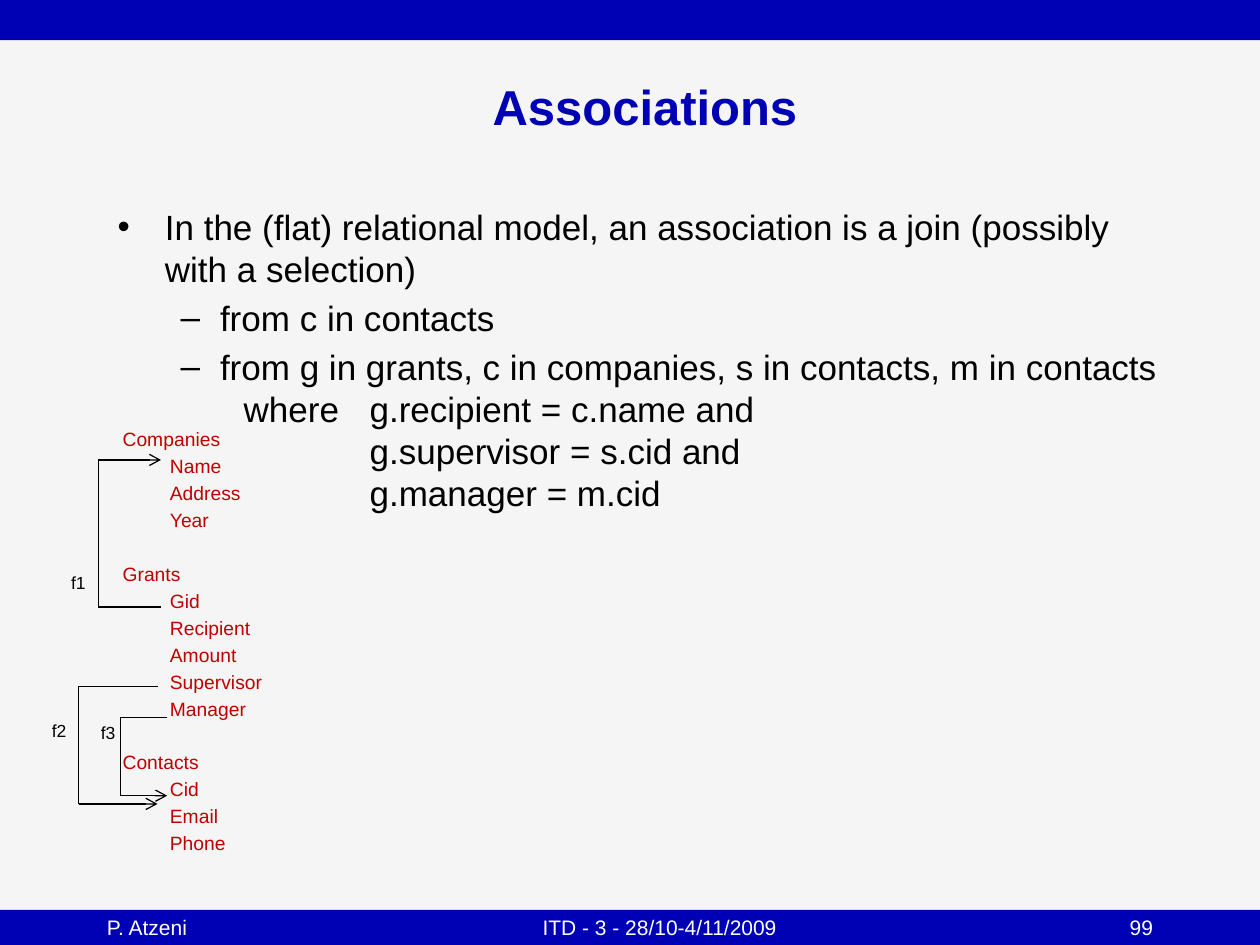
"""Build the slide on associations in the flat relational model."""
from dataclasses import dataclass

import lxml.etree
import pptx
import pptx.dml.color
import pptx.enum.shapes
import pptx.enum.text
import pptx.oxml.ns
import pptx.util

Pt = pptx.util.Pt
qn = pptx.oxml.ns.qn
Align = pptx.enum.text.PP_ALIGN
Anchor = pptx.enum.text.MSO_ANCHOR


@dataclass(frozen=True)
class Theme:
    """Colours and type sizes of the slide."""
    font: str = "Arial"
    background: str = "F5F5F5"
    blue: str = "0000B4"
    red: str = "C00000"
    black: str = "000000"
    white: str = "FFFFFF"
    title: float = 28
    body: float = 20
    footer: float = 12
    schema: float = 11
    label: float = 10


@dataclass(frozen=True)
class Box:
    """A rectangle in points."""
    left: float
    top: float
    width: float
    height: float


@dataclass(frozen=True)
class Footer:
    """A footer text with its place and alignment."""
    text: str
    box: Box
    align: Align


@dataclass(frozen=True)
class Bullet:
    """A list entry with its level and indents."""
    text: str
    level: int
    margin: float
    hanging: float


@dataclass(frozen=True)
class Relation:
    """A relation with its fields."""
    name: str
    fields: tuple[str, ...]


@dataclass(frozen=True)
class Reference:
    """A foreign key path from a field to the key it refers to."""
    name: str
    spine: float
    right: float
    source: float
    target: float
    label: Box


THEME = Theme()
BAND_TOP, BAND_HEIGHT = 520, 20
FOOTERS = (
    Footer("P. Atzeni", Box(54, BAND_TOP, 181.5, BAND_HEIGHT), Align.LEFT),
    Footer("ITD - 3 - 28/10-4/11/2009", Box(139, BAND_TOP, 476, BAND_HEIGHT), Align.CENTER),
    Footer("99", Box(569.5, BAND_TOP, 96.5, BAND_HEIGHT), Align.RIGHT),
)
BULLETS = (
    Bullet("In the (flat) relational model, an association is a join "
           "(possibly with a selection)", 0, 27, 27),
    Bullet("from c in contacts", 1, 58.5, 22.5),
    Bullet("from g in grants, c in companies, s in contacts, m in contacts\n"
           "\twhere \tg.recipient = c.name and\n"
           "\t\tg.supervisor = s.cid and\n"
           "\t\tg.manager = m.cid", 1, 58.5, 22.5),
)
RELATIONS = (
    Relation("Companies", ("Name", "Address", "Year")),
    Relation("Grants", ("Gid", "Recipient", "Amount", "Supervisor", "Manager")),
    Relation("Contacts", ("Cid", "Email", "Phone")),
)
REFERENCES = (
    Reference("f1", 56.2, 92, 346.8, 262.8, Box(33.5, 323.5, 23, 18.5)),
    Reference("f2", 45, 90, 392.2, 459.4, Box(22.5, 408, 23, 18.5)),
    Reference("f3", 69, 95.5, 410, 454.7, Box(50.5, 409, 23, 18.5)),
)


def rgb(value: str) -> pptx.dml.color.RGBColor:
    """Return the colour for a hexadecimal value."""
    return pptx.dml.color.RGBColor.from_string(value)


def place(shape, box: Box) -> None:
    """Move and size a shape."""
    shape.left, shape.top = Pt(box.left), Pt(box.top)
    shape.width, shape.height = Pt(box.width), Pt(box.height)


def write(para, text: str, *, size: float, color: str, bold: bool = False,
          align: Align = Align.LEFT, before: float = 0) -> None:
    """Fill a paragraph with formatted text."""
    para.text = text
    para.alignment = align
    para.space_before = Pt(before)
    for span in para.runs:
        span.font.name, span.font.size = THEME.font, Pt(size)
        span.font.bold = bold
        span.font.color.rgb = rgb(color)
    for line_break in para._p.findall(qn("a:br")):
        lxml.etree.SubElement(line_break, qn("a:rPr"), sz=str(int(size * 100)))


def add_band(page, box: Box) -> None:
    """Draw a plain blue band."""
    band = page.shapes.add_shape(pptx.enum.shapes.MSO_SHAPE.RECTANGLE, 0, 0, 0, 0)
    place(band, box)
    band.shadow.inherit = False
    band.fill.solid()
    band.fill.fore_color.rgb = rgb(THEME.blue)
    band.line.fill.background()


def add_frame(page, box: Box, *, wrap: bool = True, anchor: Anchor = Anchor.TOP):
    """Add a text box and return its text frame."""
    shape = page.shapes.add_textbox(0, 0, 0, 0)
    place(shape, box)
    shape.text_frame.word_wrap = wrap
    shape.text_frame.vertical_anchor = anchor
    return shape.text_frame


def add_bullets(frame, bullets: tuple[Bullet, ...]) -> None:
    """Write the list with hanging indents and one-inch tabs."""
    frame.auto_size = pptx.enum.text.MSO_AUTO_SIZE.NONE
    for index, bullet in enumerate(bullets):
        para = frame.add_paragraph() if index else frame.paragraphs[0]
        write(para, bullet.text, size=THEME.body, color=THEME.black, before=4)
        para.level = bullet.level
        properties = para._p.get_or_add_pPr()
        properties.set("marL", str(Pt(bullet.margin)))
        properties.set("indent", str(-Pt(bullet.hanging)))
        properties.set("defTabSz", str(Pt(72)))


def add_schema(frame, relations: tuple[Relation, ...]) -> None:
    """List the relations, each with its fields indented below."""
    gap = THEME.schema * 0.2
    for index, relation in enumerate(relations):
        para = frame.add_paragraph() if index else frame.paragraphs[0]
        write(para, relation.name, size=THEME.schema, color=THEME.red,
              before=gap + THEME.schema * 1.4 if index else gap)
        for field in relation.fields:
            para = frame.add_paragraph()
            write(para, field, size=THEME.schema, color=THEME.red, before=gap)
            para._p.get_or_add_pPr().set("marL", str(Pt(27)))


def add_line(page, start: tuple[float, float], end: tuple[float, float],
             arrow: bool = False) -> None:
    """Draw a thin line, with an open arrowhead at its end if asked."""
    line = page.shapes.add_connector(pptx.enum.shapes.MSO_CONNECTOR.STRAIGHT,
                                     *map(Pt, start + end))
    line.line.color.rgb = rgb(THEME.black)
    line.line.width = Pt(0.75)
    if arrow:
        lxml.etree.SubElement(line.line._get_or_add_ln(), qn("a:tailEnd"), type="arrow")
    lxml.etree.SubElement(line._element.spPr, qn("a:effectLst"))


def add_reference(page, ref: Reference) -> None:
    """Draw a foreign key path and its label."""
    add_line(page, (ref.right, ref.source), (ref.spine, ref.source))
    add_line(page, (ref.spine, ref.source), (ref.spine, ref.target))
    add_line(page, (ref.spine, ref.target), (ref.right, ref.target), arrow=True)
    frame = add_frame(page, ref.label, wrap=False)
    write(frame.paragraphs[0], ref.name, size=THEME.label, color=THEME.black)


def main() -> None:
    """Build and save the deck."""
    deck = pptx.Presentation()
    deck.slide_width, deck.slide_height = Pt(720), Pt(540)
    page = deck.slides.add_slide(deck.slide_layouts[1])
    page.background.fill.solid()
    page.background.fill.fore_color.rgb = rgb(THEME.background)
    add_band(page, Box(0, BAND_TOP, 720, BAND_HEIGHT))
    add_band(page, Box(0, 0, 720, 23))

    title, body = page.placeholders
    place(title, Box(31, 18, 675, 84.5))
    title.text_frame.vertical_anchor = Anchor.MIDDLE
    write(title.text_frame.paragraphs[0], "Associations", size=THEME.title,
          color=THEME.blue, bold=True, align=Align.CENTER)
    place(body, Box(60, 114, 612, 354))
    add_bullets(body.text_frame, BULLETS)

    for footer in FOOTERS:
        frame = add_frame(page, footer.box, anchor=Anchor.MIDDLE)
        write(frame.paragraphs[0], footer.text, size=THEME.footer,
              color=THEME.white, align=footer.align)
    add_schema(add_frame(page, Box(63, 240.5, 94.5, 260.5)), RELATIONS)
    for ref in REFERENCES:
        add_reference(page, ref)
    deck.save("out.pptx")


if __name__ == "__main__":
    main()
